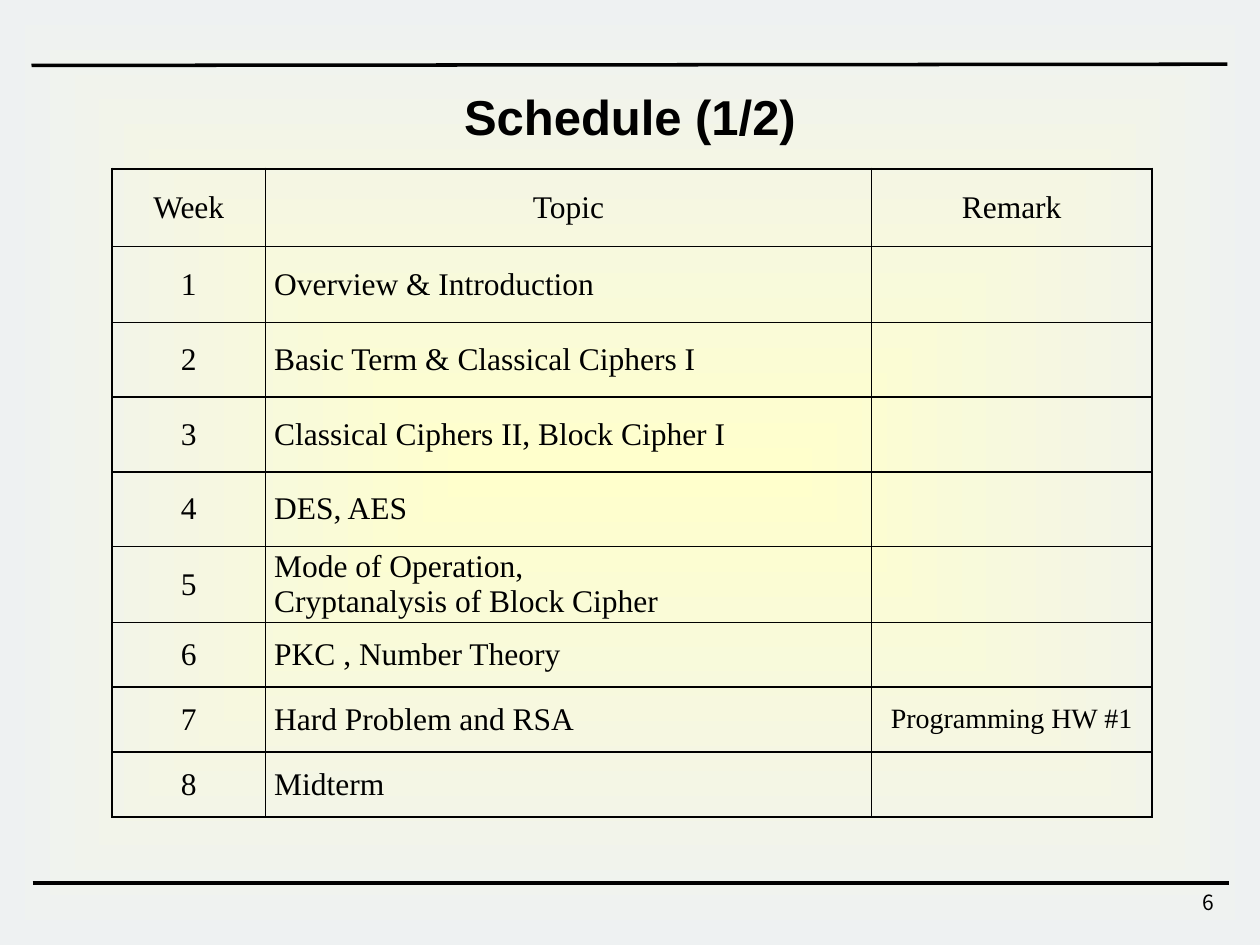
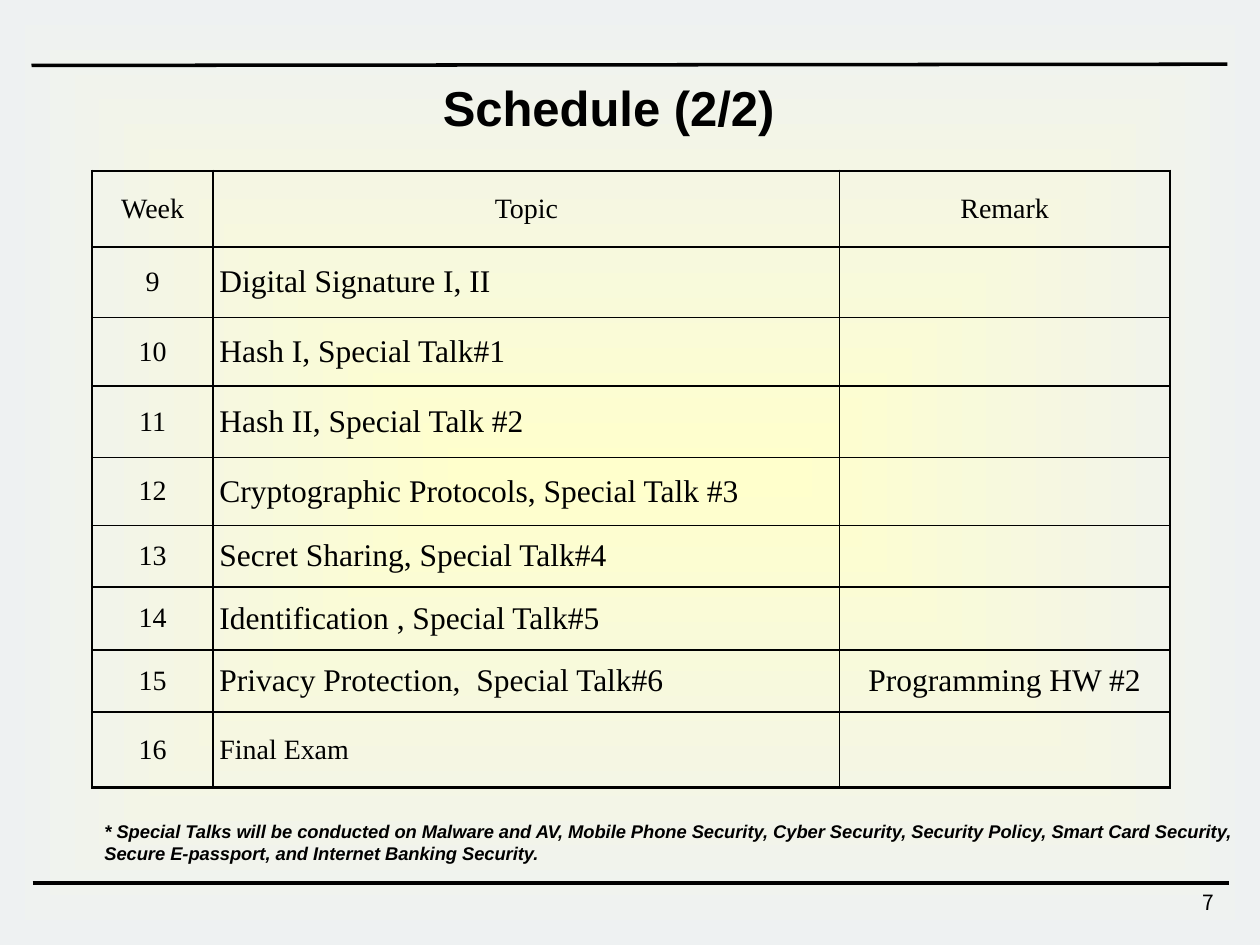
"""Build the two-page course schedule."""
from lxml import etree
from pptx import Presentation
from pptx import util as u
from pptx.dml import color
from pptx.enum import shapes, text
from pptx.oxml import ns

Pt = u.Pt
WIDTH, HEIGHT = 720, 540
COLORS = {"ink": "000000", "centre": "FFFFCC", "edge": "EEF1F2"}
SANS, SERIF, NUMBER = "Arial", "Times New Roman", "Noto Sans CJK KR"
ALIGN = {"left": text.PP_ALIGN.LEFT, "center": text.PP_ALIGN.CENTER,
         "right": text.PP_ALIGN.RIGHT}
HEADER = ("Week", "Topic", "Remark")


def rgb(name):
    return color.RGBColor.from_string(COLORS[name])


def write(frame, words, font=SANS, size=18, bold=False, italic=False,
          align="left", spacing=None):
    for index, line in enumerate(words.split("\n")):
        para = frame.paragraphs[0] if index == 0 else frame.add_paragraph()
        para.alignment = ALIGN[align]
        if spacing:
            para.line_spacing = spacing
        span = para.add_run()
        span.text = line
        span.font.name, span.font.size = font, Pt(size)
        span.font.bold, span.font.italic = bold, italic
        span.font.color.rgb = rgb("ink")


class Schedule:
    def __init__(self):
        self.deck = Presentation()
        self.deck.slide_width, self.deck.slide_height = Pt(WIDTH), Pt(HEIGHT)
        self.page = None

    def start(self, number):
        self.page = self.deck.slides.add_slide(self.deck.slide_layouts[6])
        self.backdrop()
        self.rule(18, 37.4, 701.3, 36.7)
        self.rule(18.7, 504.7, 702, 504.7)
        self.label(str(number), 551, 504.7, 150, 24, font=NUMBER, size=12,
                   align="right")

    def backdrop(self):
        panel = self.page.shapes.add_shape(
            shapes.MSO_SHAPE.RECTANGLE, 0, 0, Pt(WIDTH), Pt(HEIGHT))
        panel.shadow.inherit = False
        panel.line.fill.background()
        panel.fill.gradient()
        for stop, name in zip(panel.fill.gradient_stops, ("centre", "edge")):
            stop.color.rgb = rgb(name)
        gradient = panel.element.spPr.find(ns.qn("a:gradFill"))
        gradient.remove(gradient.find(ns.qn("a:lin")))
        shade = etree.SubElement(gradient, ns.qn("a:path"), path="shape")
        etree.SubElement(shade, ns.qn("a:fillToRect"),
                         dict.fromkeys("ltrb", "50000"))

    def rule(self, x1, y1, x2, y2):
        line = self.page.shapes.add_connector(
            shapes.MSO_CONNECTOR.STRAIGHT, Pt(x1), Pt(y1), Pt(x2), Pt(y2))
        line.line.color.rgb, line.line.width = rgb("ink"), Pt(2)
        etree.SubElement(line.element.spPr, ns.qn("a:effectLst"))

    def label(self, words, left, top, width, height, **style):
        box = self.page.shapes.add_textbox(
            Pt(left), Pt(top), Pt(width), Pt(height))
        box.text_frame.word_wrap = True
        write(box.text_frame, words, **style)

    def title(self, words, left, top):
        self.label(words, left, top, WIDTH, 55, size=28, bold=True,
                   align="center", spacing=0.9)

    def borders(self, cell, thick):
        props = cell._tc.get_or_add_tcPr()
        for index, side in enumerate("LRTB"):
            width = Pt(1.5 if side in thick else 1)
            line = etree.Element(ns.qn(f"a:ln{side}"), w=str(width))
            fill = etree.SubElement(line, ns.qn("a:solidFill"))
            etree.SubElement(fill, ns.qn("a:srgbClr"), val=COLORS["ink"])
            props.insert(index, line)

    def table(self, left, top, widths, heights, rows, size, inset, sizes):
        grid = self.page.shapes.add_table(
            len(heights), len(widths), Pt(left), Pt(top),
            Pt(sum(widths)), Pt(sum(heights))).table
        grid.first_row = grid.horz_banding = False
        for column, width in zip(grid.columns, widths):
            column.width = Pt(width)
        last_row, last_column = len(heights) - 1, len(widths) - 1
        for r, (height, row) in enumerate(zip(heights, [HEADER, *rows])):
            grid.rows[r].height = Pt(height)
            for c, words in enumerate(row):
                cell = grid.cell(r, c)
                cell.margin_left = cell.margin_right = Pt(inset)
                cell.margin_top = cell.margin_bottom = 0
                cell.vertical_anchor = text.MSO_ANCHOR.MIDDLE
                cell.fill.background()
                outer = {"L": c == 0, "R": c == last_column,
                         "T": r == 0, "B": r == last_row}
                self.borders(cell, [side for side in outer if outer[side]])
                if words:
                    write(cell.text_frame, words, font=SERIF,
                          size=sizes.get(words, size),
                          align="left" if r and c == 1 else "center")


def weeks(first, topics, remarks):
    return [(str(week), topic, remarks.get(week, ""))
            for week, topic in enumerate(topics, first)]


def main():
    schedule = Schedule()

    schedule.start(6)
    early = ["Overview & Introduction", "Basic Term & Classical Ciphers I",
             "Classical Ciphers II, Block Cipher I", "DES, AES",
             "Mode of Operation,\nCryptanalysis of Block Cipher",
             "PKC , Number Theory", "Hard Problem and RSA", "Midterm"]
    schedule.table(64.1, 96.5, [87.6, 346.3, 160.3],
                   [44.4, 43.4, 42.7, 42.7, 42.7, 42.7, 36.9, 37.2, 37.2],
                   weeks(1, early, {7: "Programming HW #1"}), size=18,
                   inset=5, sizes={"Programming HW #1": 16})
    schedule.title("Schedule (1/2)", 0, 49.7)

    schedule.start(7)
    late = ["Digital Signature I, II", "Hash I, Special Talk#1",
            "Hash II, Special Talk #2",
            "Cryptographic Protocols, Special Talk #3",
            "Secret Sharing, Special Talk#4",
            "Identification , Special Talk#5",
            "Privacy Protection,  Special Talk#6", "Final Exam"]
    large = dict.fromkeys(late[:-1] + ["Programming HW #2"], 18)
    schedule.table(52.6, 97.5, [69.2, 358, 188.6],
                   [43.6, 40.4, 39, 41, 38.8, 35.2, 35.9, 35.5, 43.2],
                   weeks(9, late, {15: "Programming HW #2"}), size=16,
                   inset=3.6, sizes=large)
    schedule.title("Schedule (2/2)", -12.2, 44.3)
    schedule.label(
        "* Special Talks will be conducted on Malware and AV, Mobile Phone "
        "Security, Cyber Security, Security Policy, Smart Card Security,\n"
        "Secure E-passport, and Internet Banking Security.",
        52.6, 465.1, 667, 32.4, size=10.5, bold=True, italic=True)

    schedule.deck.save("out.pptx")


if __name__ == "__main__":
    main()
